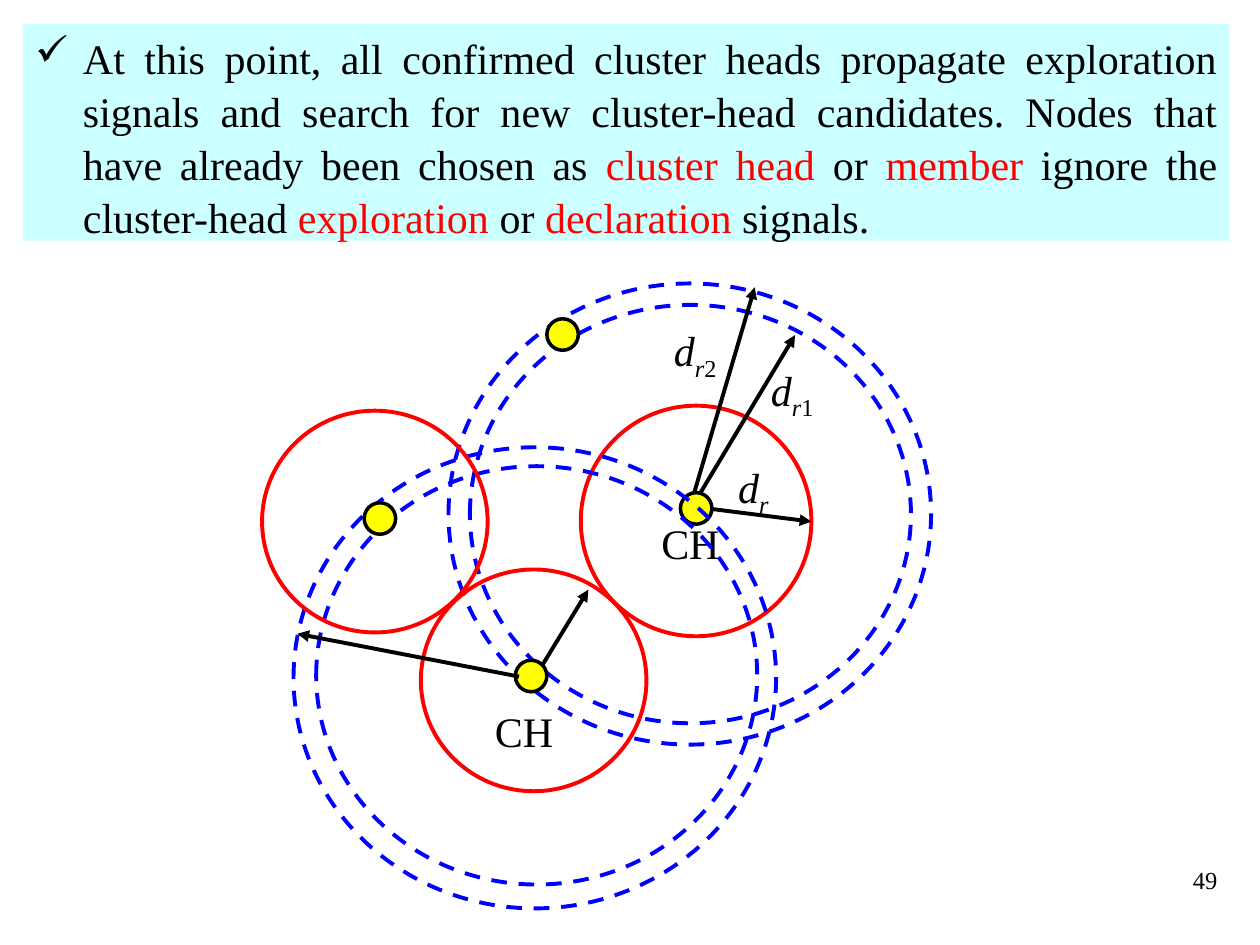
from lxml.etree import SubElement
from pptx import Presentation
from pptx.dml.color import RGBColor
from pptx.enum.dml import MSO_LINE
from pptx.enum.shapes import MSO_CONNECTOR, MSO_SHAPE
from pptx.enum.text import MSO_ANCHOR, PP_ALIGN
from pptx.oxml.ns import qn
from pptx.util import Inches, Pt

COLORS = {"black": "000000", "red": "FF0000", "blue": "0000FF",
          "yellow": "FFFF00", "panel": "CCFFFF"}
NODE_SIZE = 0.25


class ClusterSlide:
    font = "Times New Roman"
    text_size = 24
    line_width = 2.25

    def __init__(self, deck):
        self.page = deck.slides.add_slide(deck.slide_layouts[6])

    def color(self, name):
        return RGBColor.from_string(COLORS[name])

    def span(self, para, text, color="black", size=None, italic=False, subscript=False):
        run = para.add_run()
        run.text = text
        run.font.name = self.font
        run.font.size = Pt(size or self.text_size)
        run.font.italic = italic
        run.font.color.rgb = self.color(color)
        if subscript:
            run.font._element.set("baseline", "-25000")

    def text_box(self, left, top, width=0.83, height=0.5, align=PP_ALIGN.LEFT):
        """Add an empty text box and return its first paragraph."""
        box = self.page.shapes.add_textbox(
            Inches(left), Inches(top), Inches(width), Inches(height))
        box.text_frame.word_wrap = True
        para = box.text_frame.paragraphs[0]
        para.alignment = align
        return para

    def distance_label(self, left, top, index=""):
        """Write d with the subscript r and an upright index."""
        para = self.text_box(left, top)
        self.span(para, "d", italic=True)
        self.span(para, "r", italic=True, subscript=True)
        if index:
            self.span(para, index, subscript=True)

    def head_label(self, left, top):
        self.span(self.text_box(left, top), "CH")

    def circle(self, left, top, width, height, line, fill=None, weight=None, dashed=False):
        shape = self.page.shapes.add_shape(
            MSO_SHAPE.OVAL, Inches(left), Inches(top), Inches(width), Inches(height))
        shape.shadow.inherit = False
        if fill:
            shape.fill.solid()
            shape.fill.fore_color.rgb = self.color(fill)
        else:
            shape.fill.background()
        shape.line.color.rgb = self.color(line)
        shape.line.width = Pt(weight or self.line_width)
        if dashed:
            shape.line.dash_style = MSO_LINE.DASH

    def node(self, left, top):
        self.circle(left, top, NODE_SIZE, NODE_SIZE, "black", "yellow", weight=2)

    def cluster(self, left, top, width=1.79, height=1.76):
        self.circle(left, top, width, height, "red")

    def exploration_rings(self, inner, outer):
        self.circle(*inner, 3.5, 3.32, "blue", dashed=True)
        self.circle(*outer, 3.83, 3.66, "blue", dashed=True)

    def arrow(self, start, end):
        points = [Inches(value) for value in (*start, *end)]
        connector = self.page.shapes.add_connector(MSO_CONNECTOR.STRAIGHT, *points)
        connector.line.color.rgb = self.color("black")
        connector.line.width = Pt(self.line_width)
        SubElement(connector.line._get_or_add_ln(), qn("a:tailEnd"), type="triangle")
        SubElement(connector._element.spPr, qn("a:effectLst"))

    def bullet_panel(self, left, top, width, height, spans):
        panel = self.page.shapes.add_shape(
            MSO_SHAPE.RECTANGLE, Inches(left), Inches(top), Inches(width), Inches(height))
        panel.shadow.inherit = False
        panel.fill.solid()
        panel.fill.fore_color.rgb = self.color("panel")
        panel.line.fill.background()
        panel.text_frame.word_wrap = True
        panel.text_frame.vertical_anchor = MSO_ANCHOR.TOP
        para = panel.text_frame.paragraphs[0]
        para.alignment = PP_ALIGN.JUSTIFY
        para.line_spacing = 1.05
        properties = para._p.get_or_add_pPr()
        properties.set("marL", str(Inches(0.38)))
        properties.set("indent", str(Inches(-0.38)))
        SubElement(properties, qn("a:buChar"), char="✓")
        for text, color in spans:
            self.span(para, text, color)


def main():
    deck = Presentation()
    deck.slide_width, deck.slide_height = Inches(10), Inches(7.5)
    slide = ClusterSlide(deck)

    number = slide.text_box(7.68, 6.82, 2.08, align=PP_ALIGN.RIGHT)
    slide.span(number, "49", size=14)

    # Upper right cluster
    slide.cluster(4.61, 3.22, 1.83, 1.83)
    slide.exploration_rings((3.73, 2.42), (3.56, 2.25))
    slide.node(5.4, 3.91)
    slide.arrow((5.65, 4.04), (6.44, 4.14))
    slide.arrow((5.56, 3.91), (6.31, 2.66))
    slide.arrow((5.51, 3.91), (5.99, 2.28))
    slide.distance_label(5.76, 3.61)
    slide.distance_label(6.02, 2.84, "1")
    slide.distance_label(5.25, 2.53, "2")
    slide.head_label(5.15, 4.06)
    slide.node(4.34, 2.53)

    # Lower cluster
    slide.node(4.09, 5.24)
    slide.cluster(3.34, 4.52)
    slide.exploration_rings((2.51, 3.7), (2.33, 3.55))
    slide.head_label(3.83, 5.55)

    # Left cluster
    slide.node(2.89, 3.99)
    slide.cluster(2.08, 3.26)

    slide.arrow((4.31, 5.27), (4.67, 4.68))
    slide.arrow((4.12, 5.37), (2.36, 5.03))

    slide.bullet_panel(0.18, 0.19, 9.58, 1.72, [
        ("At this point, all confirmed cluster heads propagate exploration signals "
         "and search for new cluster-head candidates. Nodes that have already been "
         "chosen as ", "black"),
        ("cluster head ", "red"),
        ("or ", "black"),
        ("member", "red"),
        (" ignore the cluster-head ", "black"),
        ("exploration", "red"),
        (" or ", "black"),
        ("declaration", "red"),
        (" signals.", "black"),
    ])
    deck.save("out.pptx")


if __name__ == "__main__":
    main()
